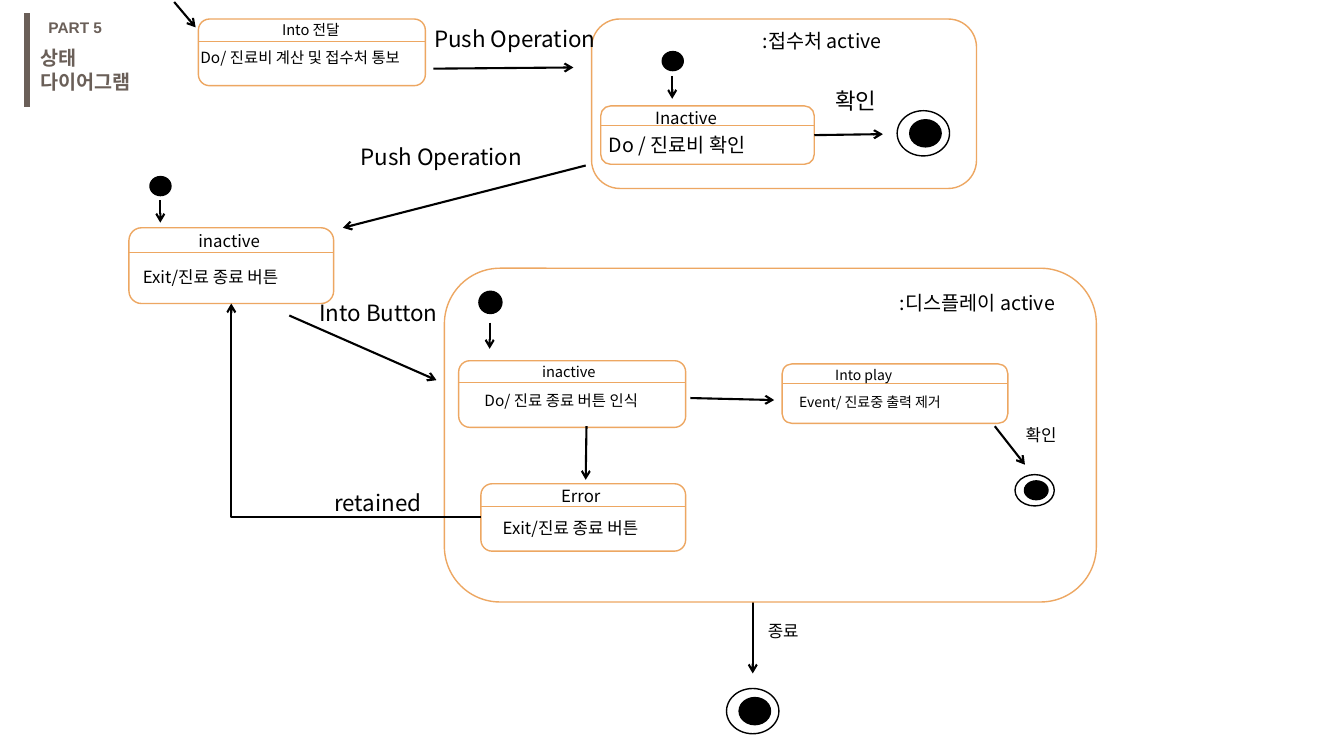
from lxml import etree
from pptx import Presentation
from pptx.dml.color import RGBColor
from pptx.enum import shapes, text
from pptx.oxml.ns import qn
from pptx.util import Cm, Pt

BLACK, WHITE, ORANGE, BROWN = "000000", "FFFFFF", "EDA762", "6A5F58"
KOREAN = "Noto Sans CJK KR"

presentation = Presentation()
presentation.slide_width, presentation.slide_height = Cm(33.87), Cm(19.05)
slide = presentation.slides.add_slide(presentation.slide_layouts[6])


def add_outline(kind, left, top, width, height, fill, line):
    """Add a preset shape or, for a connector kind, a line between two points."""
    box = [Cm(value) for value in (left, top, width, height)]
    if isinstance(kind, shapes.MSO_CONNECTOR):
        # for a connector, width and height hold the end point, fill the line width
        shape = slide.shapes.add_connector(kind, *box)
        etree.SubElement(shape._element.spPr, qn("a:effectLst"))
        shape.line.width = Pt(fill)
    else:
        shape = slide.shapes.add_shape(kind, *box)
        shape.shadow.inherit = False
        shape.fill.solid()
        shape.fill.fore_color.rgb = RGBColor.from_string(fill)
        shape.line.width = Pt(1)
    shape.line.color.rgb = RGBColor.from_string(line)
    return shape


def add_label(words, left, top, width, size, color=BLACK, bold=False, name=KOREAN):
    height = 0.25 + size * 0.043
    label = slide.shapes.add_textbox(Cm(left), Cm(top), Cm(width), Cm(height))
    frame = label.text_frame
    frame.word_wrap = True
    frame.auto_size = text.MSO_AUTO_SIZE.SHAPE_TO_FIT_TEXT
    paragraph = frame.paragraphs[0]
    for index, line in enumerate(words.splitlines()):
        if index:
            paragraph.add_line_break()
        run = paragraph.add_run()
        run.text = line
        for key, value in {"size": Pt(size), "bold": bold, "name": name}.items():
            setattr(run.font, key, value)
        run.font.color.rgb = RGBColor.from_string(color)
        etree.SubElement(run._r.get_or_add_rPr(), qn("a:ea"), typeface=name)


STRAIGHT, ELBOW = shapes.MSO_CONNECTOR.STRAIGHT, shapes.MSO_CONNECTOR.ELBOW
OVAL = shapes.MSO_SHAPE.OVAL
ROUNDED = shapes.MSO_SHAPE.FLOWCHART_ALTERNATE_PROCESS

# Heading
add_outline(STRAIGHT, 0.69, 0.33, 0.69, 2.69, 4.5, BROWN)
add_label("PART 5", 0.97, 0.33, 2.2, 11, BROWN, True, "Arial")
add_label("""상태
다이어그램""", 0.76, 1.04, 3.48, 14, BROWN, True)

# The closing arrow starts behind the display container
arrows = [add_outline(STRAIGHT, 18.97, 14.07, 18.97, 16.97, 1.5, BLACK)]

# Containers: 접수처 and 디스플레이
for container in ((14.91, 0.48, 9.7, 4.27), (11.2, 6.76, 16.43, 8.41)):
    add_outline(ROUNDED, *container, WHITE, ORANGE)

# States: box, divider height, then name and action as (words, left, top, width, size)
states = {
    "delivery": ((5, 0.48, 5.72, 1.68), 1.03,
                 ("Into 전달", 6.86, 0.41, 2.39, 10.5),
                 ("Do/ 진료비 계산 및 접수처 통보", 4.8, 1.09, 6.32, 11)),
    "reception": ((15.14, 2.67, 5.38, 1.47), 3.16,
                  ("Inactive", 16.26, 2.59, 2.84, 12),
                  ("Do / 진료비 확인", 15.09, 3.23, 6.55, 14)),
    "button": ((3.25, 5.74, 5.16, 1.91), 6.36,
               ("inactive", 4.75, 5.69, 2.79, 12),
               ("Exit/진료 종료 버튼", 3.35, 6.6, 5.21, 12)),
    "display": ((11.56, 9.09, 5.72, 1.68), 9.64,
                ("inactive", 13.41, 9.02, 1.98, 10.5),
                ("Do/ 진료 종료 버튼 인식", 11.96, 9.73, 6.32, 11)),
    "play": ((19.71, 9.17, 5.69, 1.5), 9.66,
             ("Into play", 20.8, 9.12, 2.97, 10),
             ("Event/ 진료중 출력 제거", 19.89, 9.8, 5.54, 10)),
    "error": ((12.12, 12.19, 5.16, 1.7), 12.76,
              ("Error", 13.89, 12.12, 2.79, 12),
              ("Exit/진료 종료 버튼", 12.42, 12.93, 5.21, 12)),
}
state_boxes = {}
for state, (box, divider, name, action) in states.items():
    state_boxes[state] = add_outline(ROUNDED, *box, WHITE, ORANGE)
    left, width = box[0], box[2]
    add_outline(STRAIGHT, left, divider, left + width, divider, 0.5, ORANGE)
    add_label(*name)
    add_label(*action)

# Start points
for start in ((3.78, 4.45, 0.53, 0.48), (16.69, 1.3, 0.53, 0.48), (12.07, 7.34, 0.58, 0.56)):
    add_outline(OVAL, *start, BLACK, BLACK)

# End points: a ring around a dot
for left, top, width, height in ((22.61, 2.79, 1.32, 1.14), (25.58, 11.96, 0.99, 0.79),
                                 (18.31, 17.35, 1.32, 1.14)):
    add_outline(OVAL, left, top, width, height, WHITE, BLACK)
    add_outline(OVAL, left + 0.24 * width, top + 0.2 * height,
                0.6 * width, 0.6 * height, BLACK, BLACK)

# Transitions
for ends in ((4.39, 0.05, 4.93, 0.69), (10.92, 1.73, 14.45, 1.7), (16.94, 1.91, 16.94, 2.49),
             (14.76, 4.17, 8.64, 5.74), (4.04, 5.05, 4.04, 5.61), (7.29, 7.95, 11, 9.58),
             (12.34, 8.13, 12.34, 8.79), (17.4, 10.03, 19.51, 10.08),
             (25.07, 10.74, 25.83, 11.71), (14.78, 10.74, 14.76, 12.09)):
    arrows.append(add_outline(STRAIGHT, *ends, 1.5, BLACK))

confirm = add_outline(STRAIGHT, 20.52, 3.4, 22.25, 3.38, 1.5, BLACK)
confirm.begin_connect(state_boxes["reception"], 3)
retained = add_outline(ELBOW, 12.12, 13.04, 5.83, 7.65, 1.5, BLACK)
retained.begin_connect(state_boxes["error"], 1)
retained.end_connect(state_boxes["button"], 2)
retained._element.spPr.find(qn("a:prstGeom")).set("prst", "bentConnector2")

for arrow in arrows + [confirm, retained]:
    etree.SubElement(arrow.line._get_or_add_ln(), qn("a:tailEnd"), type="arrow")

# Transition and container labels
for label in (("Push Operation", 10.69, 0.51, 4.6, 16), ("Push Operation", 8.84, 3.48, 4.6, 16),
              ("Into Button", 7.8, 7.42, 3.63, 16), ("retained", 8.18, 12.19, 3.63, 16),
              ("확인", 20.8, 2.08, 1.57, 16), ("확인", 25.6, 10.57, 1.57, 12),
              ("종료", 19.1, 15.52, 1.57, 12), (":접수처 active", 18.97, 0.61, 4.72, 14),
              (":디스플레이 active", 22.43, 7.21, 5.11, 14)):
    add_label(*label)

presentation.save("out.pptx")
